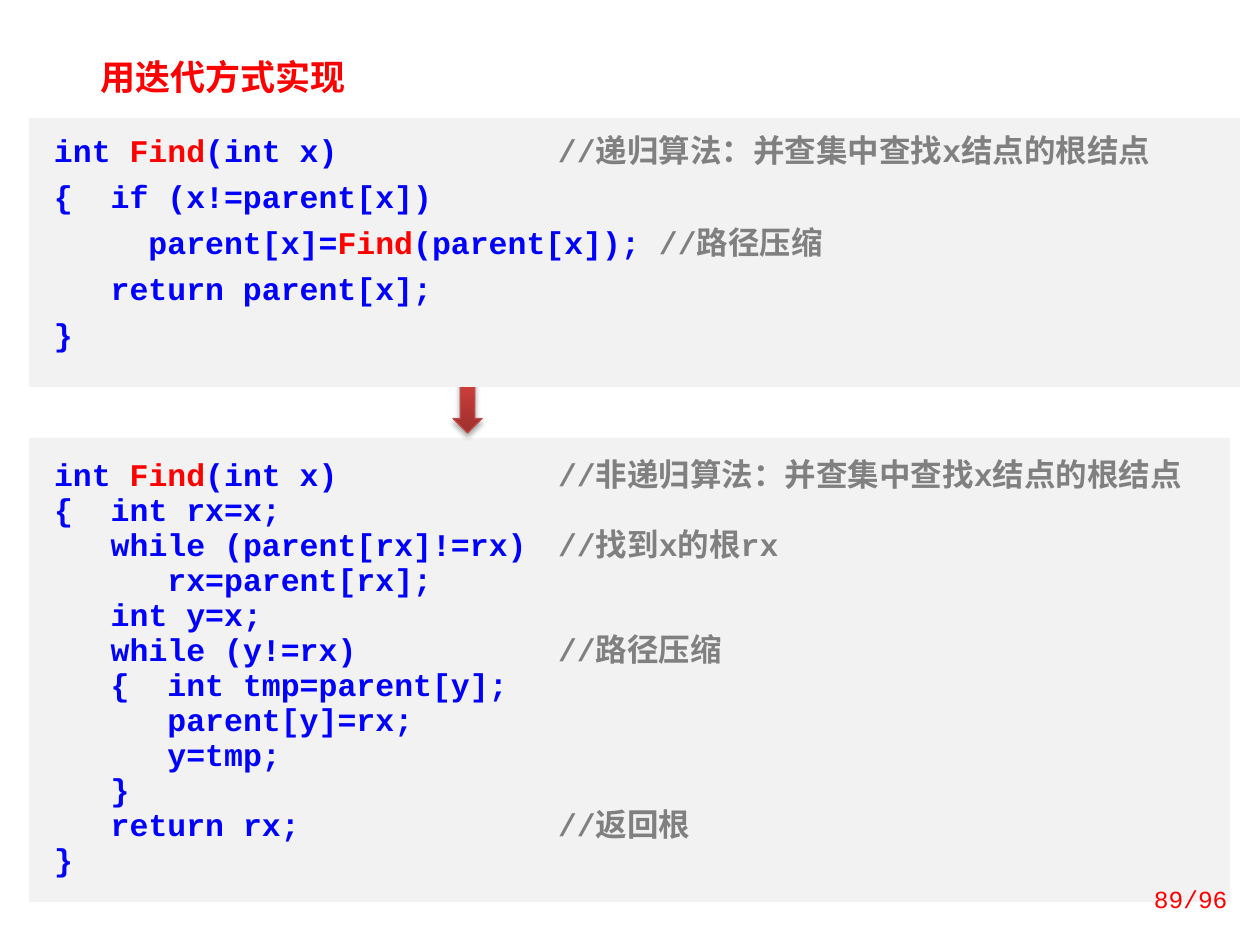
from copy import deepcopy

from lxml import etree
from pptx import Presentation
from pptx.dml.color import RGBColor
from pptx.enum.shapes import MSO_SHAPE
from pptx.enum.text import MSO_ANCHOR, MSO_AUTO_SIZE, PP_ALIGN
from pptx.oxml.ns import qn
from pptx.util import Inches, Pt

RECT, ARROW = MSO_SHAPE.RECTANGLE, MSO_SHAPE.DOWN_ARROW
TOP, MIDDLE = MSO_ANCHOR.TOP, MSO_ANCHOR.MIDDLE
LEFT, RIGHT = PP_ALIGN.LEFT, PP_ALIGN.RIGHT
FIXED = MSO_AUTO_SIZE.NONE
SCALE = Inches(1) / 126
FACE = "Courier New"
COLORS = {
    "panel": "F2F2F2", "code": "0000FF", "key": "FF0000", "note": "808080",
    "edge": "BF4C48", "dark": "9C2F2D", "mid": "CB3E3A", "light": "CE3B37",
    "shade": "000000",
}
RECURSIVE = [
    "int Find(int x)\t\t//递归算法：并查集中查找x结点的根结点",
    "{  if (x!=parent[x])",
    "     parent[x]=Find(parent[x]); //路径压缩",
    "   return parent[x];",
    "}",
]
ITERATIVE = [
    "int Find(int x)\t\t//非递归算法：并查集中查找x结点的根结点",
    "{  int rx=x;",
    "   while (parent[rx]!=rx)\t//找到x的根rx",
    "      rx=parent[rx];",
    "   int y=x;",
    "   while (y!=rx)\t\t//路径压缩",
    "   {  int tmp=parent[y];",
    "      parent[y]=rx;",
    "      y=tmp;",
    "   }",
    "   return rx;\t\t\t//返回根",
    "}",
]


def px(*vals):
    return [round(v * SCALE) for v in vals]


def color(name):
    return RGBColor.from_string(COLORS[name])


def style(para, size, bold, align=LEFT):
    para.alignment = align
    font = para.font
    font.name, font.size, font.bold = FACE, Pt(size), bold


def add_run(para, text, name):
    if text:
        run = para.add_run()
        run.text = text
        run.font.color.rgb = color(name)


def add_line(para, line):
    code, mark, note = line.partition("//")
    head, key, rest = code.partition("Find")
    for text, name in ((head, "code"), (key, "key"), (rest, "code"), (mark + note, "note")):
        add_run(para, text, name)


def add_label(shape, box, text, size, bold, align, anchor):
    shape.left, shape.top, shape.width, shape.height = px(*box)
    frame = shape.text_frame
    frame.word_wrap = True
    frame.auto_size = FIXED
    frame.vertical_anchor = anchor
    para = frame.paragraphs[0]
    style(para, size, bold, align)
    add_run(para, text, "key")


def add_code(slide, box, lines, pitch, gap):
    shape = slide.shapes.add_shape(RECT, *px(*box))
    shape.shadow.inherit = False
    shape.fill.solid()
    shape.fill.fore_color.rgb = color("panel")
    shape.line.fill.background()
    frame = shape.text_frame
    frame.word_wrap = True
    frame.vertical_anchor = TOP
    frame.margin_left, frame.margin_top, frame.margin_bottom = px(25, 20, 20)
    for i, line in enumerate(lines):
        para = frame.add_paragraph() if i else frame.paragraphs[0]
        style(para, 18, True)
        para.line_spacing, para.space_before = pitch, Pt(gap)
        para._p.get_or_add_pPr().set("defTabSz", str(Inches(1)))
        add_line(para, line)


def add_arrow(slide, box):
    shape = slide.shapes.add_shape(ARROW, *px(*box))
    shape.shadow.inherit = False
    shape.line.color.rgb = color("edge")
    shape.line.width = Pt(0.75)
    fill = shape.fill
    fill.gradient()
    fill.gradient_angle = 90
    stops = shape.element.spPr.find(qn("a:gradFill")).find(qn("a:gsLst"))
    stops.append(deepcopy(stops[-1]))
    for stop, name, pos in zip(fill.gradient_stops, ("dark", "mid", "light"), (0, 0.8, 1)):
        stop.color.rgb = color(name)
        stop.position = pos
    effects = shape.element.spPr.find(qn("a:effectLst"))
    shade = etree.SubElement(effects, qn("a:outerShdw"), blurRad=str(Pt(3.1)),
                             dist=str(Pt(1.8)), dir="5400000", rotWithShape="0")
    tint = etree.SubElement(shade, qn("a:srgbClr"), val=COLORS["shade"])
    etree.SubElement(tint, qn("a:alpha"), val="35000")


def main():
    """Build the slide on recursive and iterative Find."""
    prs = Presentation()
    prs.slide_width, prs.slide_height = Inches(10), Inches(7.5)
    slide = prs.slides.add_slide(prs.slide_layouts[5])
    add_label(slide.shapes.title, (88, 49, 335, 55), "用迭代方式实现", 20, True, LEFT, TOP)
    add_code(slide, (29, 438, 1201, 464), ITERATIVE, Pt(20), 0)
    add_arrow(slide, (453, 374, 29, 59))
    add_code(slide, (29, 118, 1211, 269), RECURSIVE, 0.8, 9)
    page = slide.shapes.add_textbox(0, 0, 0, 0)
    add_label(page, (1106, 874, 134, 50), "89/96", 14, False, RIGHT, MIDDLE)
    prs.save("out.pptx")


main()
